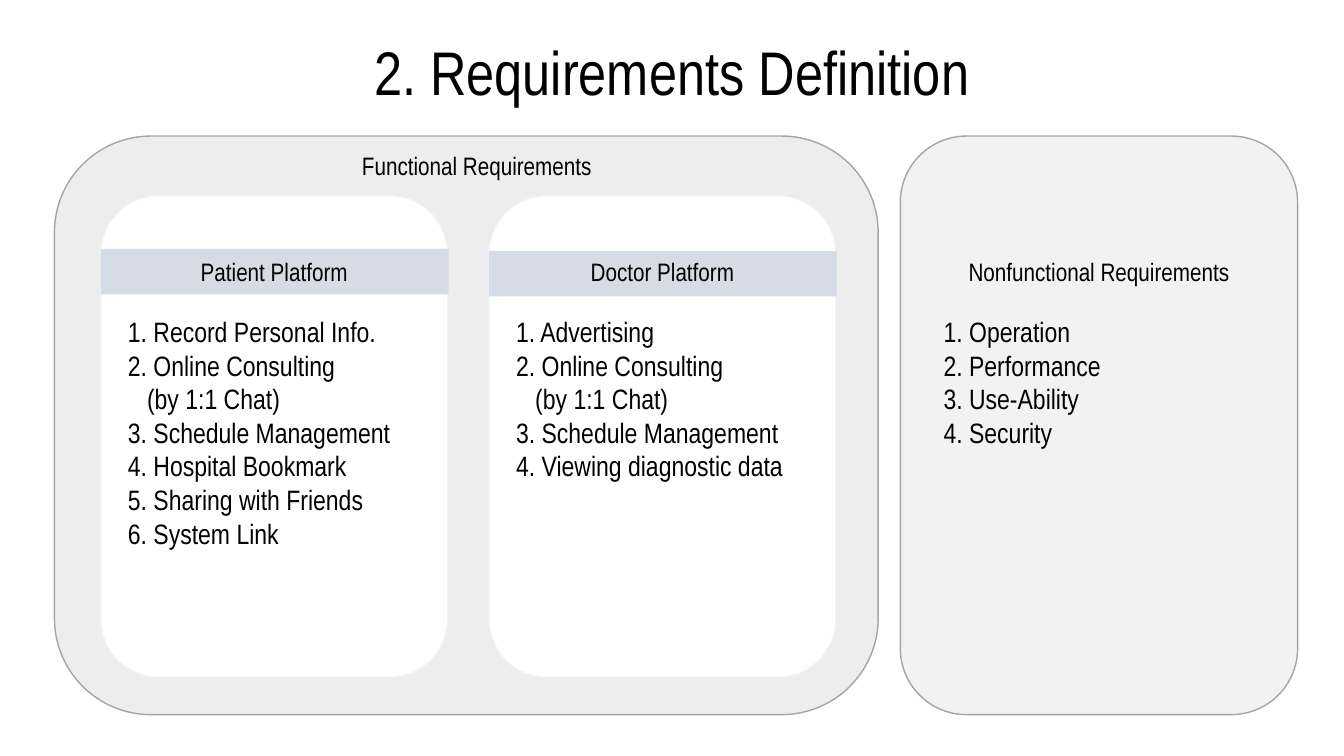
from pptx import Presentation
from pptx import util as u
from pptx.dml.color import RGBColor
from pptx.enum import shapes, text

BLACK = RGBColor(0x00, 0x00, 0x00)
WHITE = RGBColor(0xFF, 0xFF, 0xFF)
PANEL_GREY = RGBColor(0xED, 0xED, 0xED)
PALE_GREY = RGBColor(0xF2, 0xF2, 0xF2)
EDGE_GREY = RGBColor(0xA5, 0xA5, 0xA5)
BAND_BLUE = RGBColor(0xD6, 0xDC, 0xE5)
ROUNDED = shapes.MSO_SHAPE.ROUNDED_RECTANGLE
SLIDE_WIDTH, SLIDE_HEIGHT = 13.33, 7.5

deck = Presentation()
deck.slide_width = u.Inches(SLIDE_WIDTH)
deck.slide_height = u.Inches(SLIDE_HEIGHT)
slide = deck.slides.add_slide(deck.slide_layouts[6])


def add_block(kind, left, top, width, height, fill, edge=None):
    block = slide.shapes.add_shape(kind, *map(u.Inches, (left, top, width, height)))
    block.shadow.inherit = False
    block.fill.solid()
    block.fill.fore_color.rgb = fill
    if edge is None:
        block.line.fill.background()
    else:
        block.line.color.rgb = edge
        block.line.width = u.Pt(1)


def add_text(lines, left, top, width, height, size, align=text.PP_ALIGN.CENTER):
    frame = slide.shapes.add_textbox(*map(u.Inches, (left, top, width, height))).text_frame
    frame.word_wrap = True
    for index, line in enumerate(lines):
        paragraph = frame.paragraphs[0] if index == 0 else frame.add_paragraph()
        paragraph.alignment = align
        if line.startswith("("):
            paragraph._p.get_or_add_pPr().set("marL", str(u.Inches(0.19)))
        run = paragraph.add_run()
        run.text = line
        run.font.name = "Arial Narrow"
        run.font.size = u.Pt(size)
        run.font.color.rgb = BLACK
    return frame


title = add_text(["2. Requirements Definition"], 0, 0.02, SLIDE_WIDTH, 1.45, 44)
title.vertical_anchor = text.MSO_ANCHOR.MIDDLE
title.paragraphs[0].line_spacing = 0.9

panel_top, panel_height = 1.35, 5.74
add_block(ROUNDED, 0.54, panel_top, 8.17, panel_height, PANEL_GREY, EDGE_GREY)
add_block(ROUNDED, 8.93, panel_top, 3.94, panel_height, PALE_GREY, EDGE_GREY)
add_text(["Functional Requirements"], 0.78, 1.44, 7.9, 0.4, 18)

heading_top, heading_height = 2.49, 0.4
list_top, list_width, line_height = 3.07, 3.26, 0.33
card_width = 3.44

platforms = [
    ("Patient Platform", 1, 2.47, [
        "1. Record Personal Info.", "2. Online Consulting", "(by 1:1 Chat)",
        "3. Schedule Management", "4. Hospital Bookmark",
        "5. Sharing with Friends", "6. System Link"]),
    ("Doctor Platform", 4.85, 2.49, [
        "1. Advertising", "2. Online Consulting", "(by 1:1 Chat)",
        "3. Schedule Management", "4. Viewing diagnostic data"]),
]
for platform, left, band_top, features in platforms:
    add_block(ROUNDED, left, 1.94, card_width, 4.78, WHITE, PALE_GREY)
    add_block(shapes.MSO_SHAPE.RECTANGLE, left, band_top, card_width + 0.01, 0.45, BAND_BLUE)
    add_text([platform], left, heading_top, card_width, heading_height, 18)
    add_text(features, left + 0.17, list_top, list_width,
             len(features) * line_height + 0.1, 20, text.PP_ALIGN.LEFT)

qualities = ["1. Operation", "2. Performance", "3. Use-Ability", "4. Security"]
add_text(["Nonfunctional Requirements"], 8.93, heading_top, 3.94, heading_height, 18)
add_text(qualities, 9.26, list_top, list_width,
         len(qualities) * line_height + 0.1, 20, text.PP_ALIGN.LEFT)

deck.save("out.pptx")
